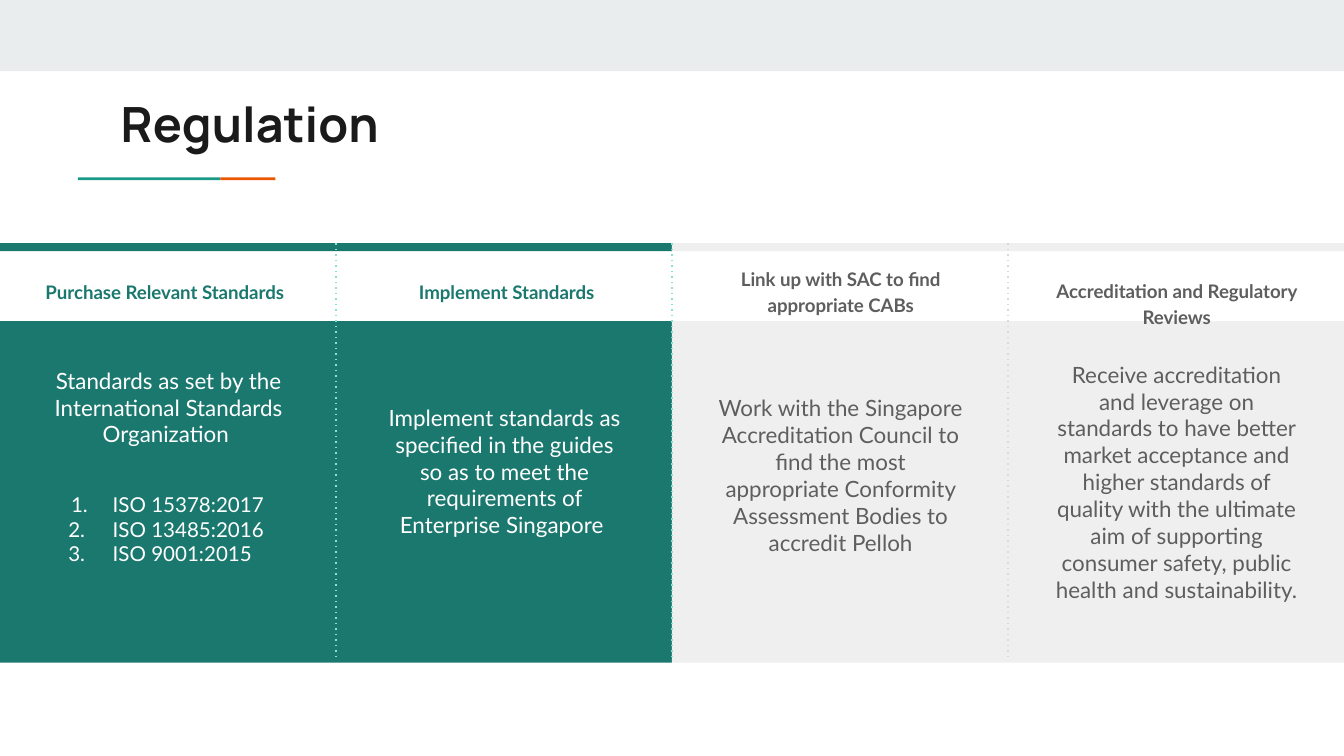
from lxml import etree
from pptx import Presentation
from pptx import util as u
from pptx.dml.color import RGBColor
from pptx.enum import shapes, text
from pptx.oxml.ns import qn

COLORS = {"band": "E9EDEE", "title": "1A1A1A", "accent": "1A9988", "orange": "EB5600",
          "green": "1B786E", "gray": "EFEFEF", "dark": "5E5E5E", "white": "FFFFFF",
          "mint": "83E3D9", "silver": "D9D9D9"}
CENTER, LEFT = text.PP_ALIGN.CENTER, text.PP_ALIGN.LEFT
TOP, MIDDLE = text.MSO_ANCHOR.TOP, text.MSO_ANCHOR.MIDDLE

# Widescreen 16:9 page
deck = Presentation()
deck.slide_width = u.Inches(10)
deck.slide_height = u.Inches(10) * 9 // 16
page = deck.slides.add_slide(deck.slide_layouts[6])


def add_bar(left, top, width, height, color):
    bar = page.shapes.add_shape(shapes.MSO_SHAPE.RECTANGLE, *map(u.Inches, (left, top, width, height)))
    bar.shadow.inherit = False
    bar.fill.solid()
    bar.fill.fore_color.rgb = RGBColor.from_string(COLORS[color])
    bar.line.fill.background()


def add_text(place, lines, size, color, align=CENTER, anchor=TOP, bold=False, font="Lato"):
    box = page.shapes.add_textbox(*map(u.Inches, place))
    frame = box.text_frame
    frame.word_wrap = True
    frame.vertical_anchor = anchor
    frame.margin_left = frame.margin_right = u.Inches(0.1)
    frame.margin_top = frame.margin_bottom = u.Inches(0.1)
    frame.text = "\n".join(lines)
    for para in frame.paragraphs:
        para.alignment = align
        for span in para.runs:
            span.font.size, span.font.bold, span.font.name = u.Pt(size), bold, font
            span.font.color.rgb = RGBColor.from_string(COLORS[color])
    return frame


# Top band, title and two-coloured rule
add_bar(0, 0, 10, 0.53, "band")
add_text((0.8, 0.6, 8.41, 0.59), ["Regulation"], 26, "title", LEFT, bold=True, font="Manrope")
add_bar(0.58, 1.32, 1.06, 0.02, "accent")
add_bar(1.64, 1.32, 0.41, 0.02, "orange")

# Four steps: fill, heading colour, body colour, heading and its place, body and its place
steps = [
    ("green", "green", "white", "Purchase Relevant Standards", (0.24, 1.97, 2.03, 0.28),
     "Standards as set by the International Standards Organization ", (0.24, 2.63, 2.03, 0.87)),
    ("green", "green", "white", "Implement Standards", (2.74, 1.97, 2.06, 0.28),
     "Implement standards as specified in the guides so as to meet the requirements of "
     "Enterprise Singapore ", (2.74, 2.63, 2.03, 1.75)),
    ("gray", "dark", "dark", "Link up with SAC to find appropriate CABs", (5.26, 1.87, 1.99, 0.28),
     "Work with the Singapore Accreditation Council to find the most appropriate Conformity "
     "Assessment Bodies to accredit Pelloh", (5.24, 2.63, 2.03, 1.81)),
    ("gray", "dark", "dark", "Accreditation and Regulatory Reviews", (7.76, 2.11, 1.99, 0.28),
     "Receive accreditation and leverage on standards to have better market acceptance and "
     "higher standards of quality with the ultimate aim of supporting consumer safety, public "
     "health and sustainability.", (7.74, 2.53, 2.03, 2.11)),
]
for index, (fill, head_color, body_color, heading, head_place, body, body_place) in enumerate(steps):
    first, last = index == 0, index == len(steps) - 1
    add_bar(2.5 * index, 2.39, 2.5, 2.54, fill)
    add_bar(2.5 * index, 1.81, 2.5, 0.06, fill)
    head = add_text(head_place, [heading], 10, head_color, LEFT if first else CENTER,
                    MIDDLE if last else TOP, bold=True)
    head.paragraphs[0].line_spacing = 1.15
    head.paragraphs[0].space_after = u.Pt(16)
    add_text(body_place, [body], 12, body_color, anchor=TOP if first else MIDDLE)

# Dotted dividers between the steps
for index, color in enumerate(["mint", "mint", "silver"], start=1):
    x = u.Inches(2.5 * index)
    divider = page.shapes.add_connector(shapes.MSO_CONNECTOR.STRAIGHT, x, u.Inches(1.81), x, u.Inches(4.91))
    divider.line.color.rgb = RGBColor.from_string(COLORS[color])
    divider.line.width = u.Pt(0.75)
    etree.SubElement(divider.line._get_or_add_ln(), qn("a:prstDash"), val="dot")
    etree.SubElement(divider._element.spPr, qn("a:effectLst"))

# Numbered list of standards
standards = add_text((0.24, 3.56, 2.03, 1.09), ["ISO 15378:2017", "ISO 13485:2016", "ISO 9001:2015"],
                     11, "white", text.PP_ALIGN.JUSTIFY)
for para, indent in zip(standards.paragraphs, (-0.31, -0.33, -0.33)):
    props = para._p.get_or_add_pPr()
    props.set("marL", str(u.Inches(0.5)))
    props.set("indent", str(u.Inches(indent)))
    bullet_color = etree.SubElement(props, qn("a:buClr"))
    etree.SubElement(bullet_color, qn("a:srgbClr"), val=COLORS["white"])
    etree.SubElement(props, qn("a:buAutoNum"), type="arabicPeriod")

deck.save("out.pptx")
